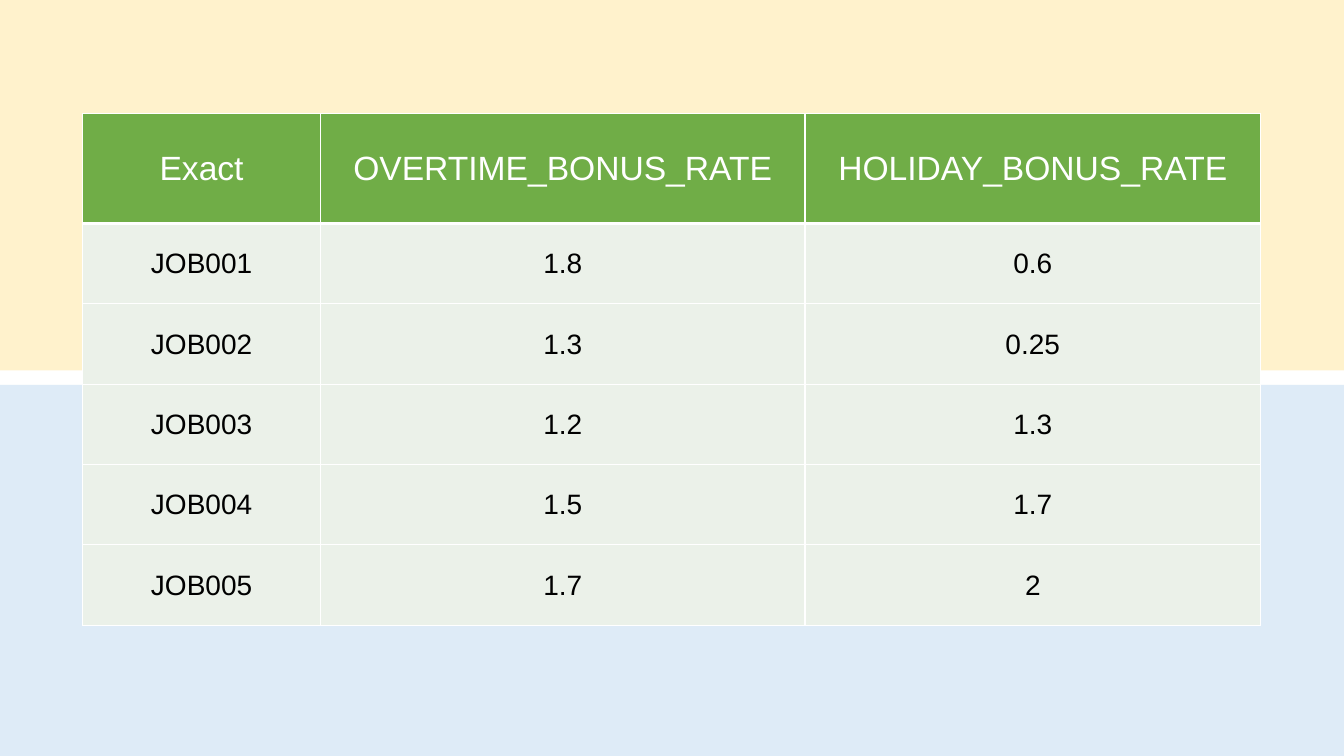
"""Build a slide with a table of bonus rates per job over two colour bands."""
from lxml import etree
from pptx import Presentation
from pptx import util as u
from pptx.dml.color import RGBColor
from pptx.enum import shapes, text
from pptx.oxml import ns


def paint(fill, color):
    fill.solid()
    fill.fore_color.rgb = RGBColor.from_string(color)


def border(cell, side, width):
    tag = ns.qn("a:ln" + side)
    ln = etree.SubElement(cell._tc.get_or_add_tcPr(), tag, w=str(u.Pt(width)))
    solid = etree.SubElement(ln, ns.qn("a:solidFill"))
    etree.SubElement(solid, ns.qn("a:srgbClr"), val="FFFFFF")


prs = Presentation()
prs.slide_width, prs.slide_height = u.Pt(960), u.Pt(540)
s = prs.slides.add_slide(prs.slide_layouts[6])

for left, top, color in [(0, 275, "DEEBF7"), (-0.5, -0.5, "FFF2CC")]:
    sp = s.shapes.add_shape(shapes.MSO_SHAPE.RECTANGLE, u.Pt(left), u.Pt(top), u.Pt(960.5), u.Pt(265))
    sp.shadow.inherit = False
    paint(sp.fill, color)
    sp.line.fill.background()

rows = [
    ("Exact", "OVERTIME_BONUS_RATE", "HOLIDAY_BONUS_RATE"),
    ("JOB001", "1.8", "0.6"),
    ("JOB002", "1.3", "0.25"),
    ("JOB003", "1.2", "1.3"),
    ("JOB004", "1.5", "1.7"),
    ("JOB005", "1.7", "2"),
]
widths = [170, 346, 325.5]
heights = [78.6] + [57.4] * 5

table = s.shapes.add_table(len(rows), len(widths), u.Pt(59), u.Pt(81.1),
                           u.Pt(sum(widths)), u.Pt(sum(heights))).table
for col, width in zip(table.columns, widths):
    col.width = u.Pt(width)
for row, height in zip(table.rows, heights):
    row.height = u.Pt(height)

for i, values in enumerate(rows):
    size, color, fill = (20, "000000", "EBF1E9") if i else (24, "FFFFFF", "70AD47")
    for j, value in enumerate(values):
        cell = table.cell(i, j)
        cell.margin_left = cell.margin_right = cell.margin_top = u.Pt(0.75)
        cell.margin_bottom = 0
        cell.vertical_anchor = text.MSO_ANCHOR.MIDDLE
        for side in "LRTB":
            under_header = (i, side) in [(0, "B"), (1, "T")]
            border(cell, side, 3 if under_header else 1)
        paint(cell.fill, fill)
        p = cell.text_frame.paragraphs[0]
        p.text = value
        p.alignment = text.PP_ALIGN.CENTER
        r = p.runs[0]
        r.font.name = "Arial"
        r.font.size = u.Pt(size)
        r.font.bold = False
        paint(r.font.fill, color)

prs.save("out.pptx")
